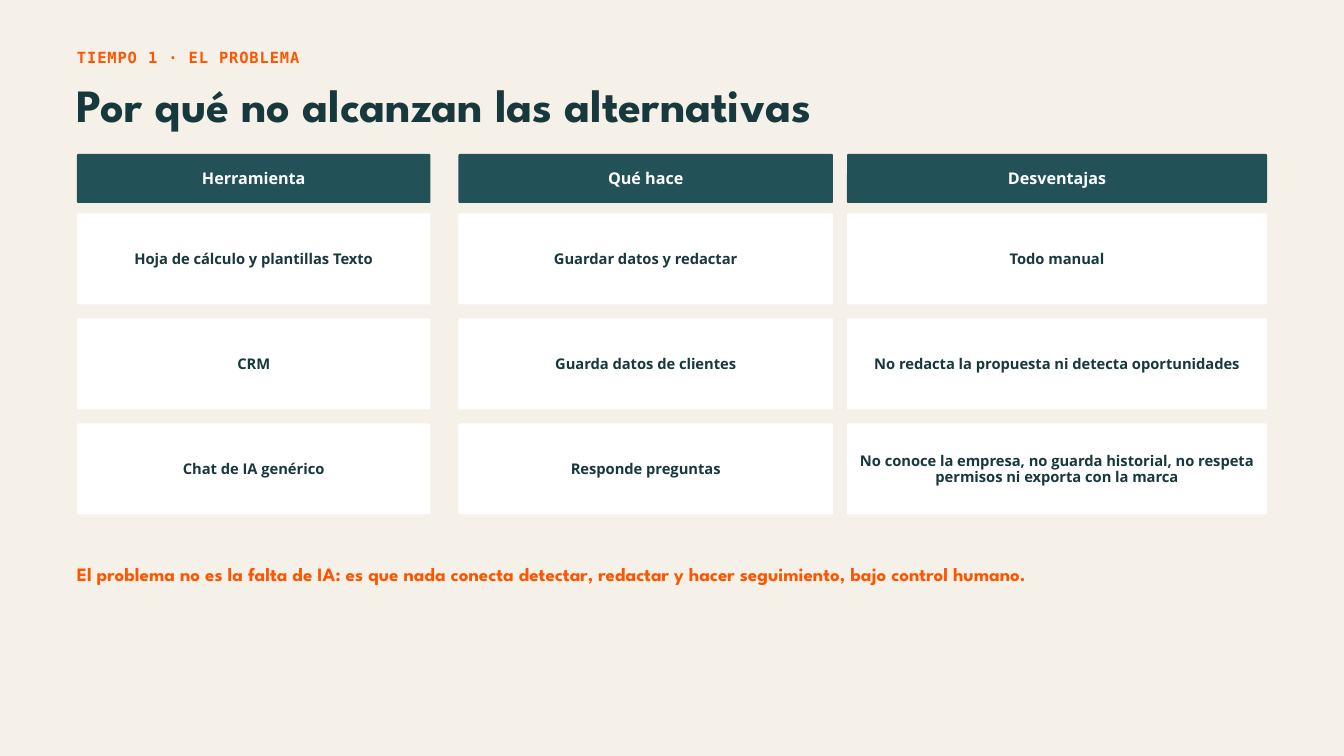
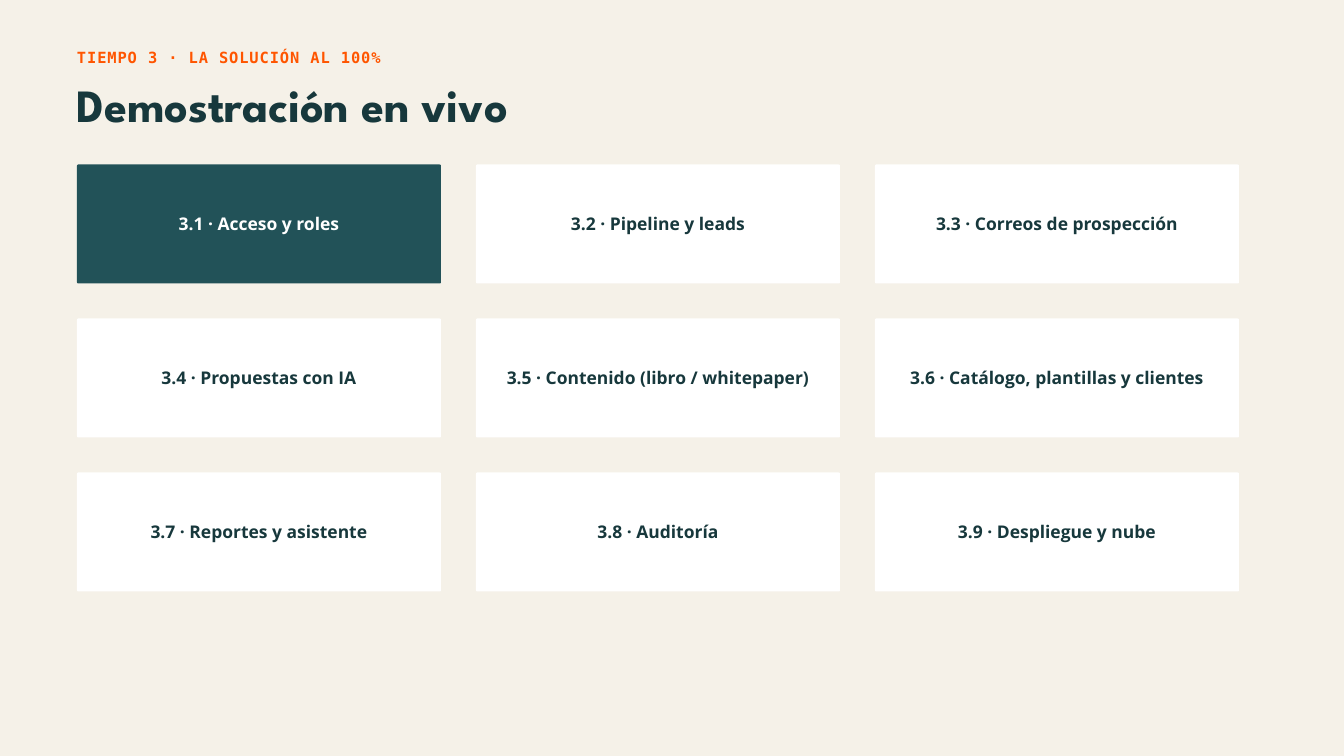
from itertools import accumulate

from pptx import Presentation
from pptx import util as u
from pptx.dml.color import RGBColor
from pptx.enum import shapes, text

PX = 9525  # EMU in one px
CREAM = RGBColor(0xF5, 0xF1, 0xE8)
ORANGE = RGBColor(0xFF, 0x55, 0x00)
INK = RGBColor(0x17, 0x38, 0x3C)
TEAL = RGBColor(0x22, 0x52, 0x58)
WHITE = RGBColor(0xFF, 0xFF, 0xFF)

LEFT = 110
RADIUS = 2
PAD = 6

# Text styles: font, size in pt, line height in pt
KICKER = ("DejaVu Sans Mono", 16.5, 23.1)
TITLE = ("League Spartan", 49.5, 50.5)
CLOSING = ("League Spartan", 20.25, 20.6)
HEAD = ("Open Sans", 17.25, 19.8)
CELL = ("Open Sans", 15.75, 18.1)
TILE = ("Open Sans", 18.75, 21.6)

HEADS = ["Herramienta", "Qué hace", "Desventajas"]
TOOLS = [
    ["Hoja de cálculo y plantillas Texto", "Guardar datos y redactar",
     "Todo manual"],
    ["CRM", "Guarda datos de clientes",
     "No redacta la propuesta ni detecta oportunidades"],
    ["Chat de IA genérico", "Responde preguntas",
     "No conoce la empresa, no guarda historial, no respeta permisos "
     "ni exporta con la marca"],
]
DEMOS = [
    "Acceso y roles", "Pipeline y leads", "Correos de prospección",
    "Propuestas con IA", "Contenido (libro / whitepaper)",
    "Catálogo, plantillas y clientes",
    "Reportes y asistente", "Auditoría", "Despliegue y nube",
]


def emu(*sizes):
    return [size * PX for size in sizes]


def assign(target, values):
    for name, value in values.items():
        setattr(target, name, value)


def write(shape, words, style, color, pad, frame_set, align):
    face, size, height = style
    frame = shape.text_frame
    sides = ("left", "top", "right", "bottom")
    assign(frame, {f"margin_{side}": pad * PX for side in sides})
    assign(frame, {"word_wrap": True, **frame_set})
    para = frame.paragraphs[0]
    assign(para, {"alignment": align, "line_spacing": u.Pt(height)})
    run = para.add_run()
    run.text = words
    assign(run.font, {"name": face, "size": u.Pt(size), "bold": True})
    run.font.color.rgb = color
    return run


def label(slide, box, words, style, color):
    """Plain line of text, aligned left."""
    shape = slide.shapes.add_textbox(*emu(*box))
    fit = {"auto_size": text.MSO_AUTO_SIZE.SHAPE_TO_FIT_TEXT}
    return write(shape, words, style, color, 0, fit, text.PP_ALIGN.LEFT)


def card(slide, box, words, style, dark=False):
    """Rounded card with centred text."""
    kind = shapes.MSO_SHAPE.ROUNDED_RECTANGLE
    shape = slide.shapes.add_shape(kind, *emu(*box))
    shape.adjustments[0] = RADIUS / min(box[2:])
    shape.shadow.inherit = False
    shape.fill.solid()
    shape.fill.fore_color.rgb = TEAL if dark else WHITE
    shape.line.fill.background()
    middle = {"vertical_anchor": text.MSO_ANCHOR.MIDDLE}
    write(shape, words, style, WHITE if dark else INK, PAD, middle,
          text.PP_ALIGN.CENTER)


def heading(deck, kicker, title):
    """New slide with the shared kicker and title."""
    slide = deck.slides.add_slide(deck.slide_layouts[6])
    run = label(slide, (LEFT, 64, 1500, 30), kicker, KICKER, ORANGE)
    run.font._element.set("spc", "100")  # letter spacing of 1 pt
    label(slide, (LEFT, 121, 1600, 70), title, TITLE, INK)
    return slide


def matrix(slide, left, top):
    """Comparison grid: one dark header row, then white rows."""
    widths, gaps = [505, 535, 600], [40, 20]
    steps = [wide + gap for wide, gap in zip(widths, gaps)]
    cols = list(zip(accumulate(steps, initial=left), widths))
    for (x, wide), words in zip(cols, HEADS):
        card(slide, (x, top, wide, 70), words, HEAD, dark=True)
    for row, cells in enumerate(TOOLS):
        y = top + 85 + row * 150
        for (x, wide), words in zip(cols, cells):
            card(slide, (x, y, wide, 130), words, CELL)


def agenda(slide, left, top):
    """Three by three tiles, the first one highlighted."""
    wide, high, gap = 520, 170, 50
    for i, name in enumerate(DEMOS):
        row, col = divmod(i, 3)
        box = (left + col * (wide + gap), top + row * (high + gap),
               wide, high)
        card(slide, box, f"3.{i + 1} · {name}", TILE, dark=i == 0)


def main():
    deck = Presentation()
    deck.slide_width, deck.slide_height = emu(1920, 1080)
    back = deck.slide_master.background.fill
    back.solid()
    back.fore_color.rgb = CREAM

    # Alternatives
    slide = heading(deck, "TIEMPO 1 · EL PROBLEMA",
                    "Por qué no alcanzan las alternativas")
    matrix(slide, LEFT, 220)
    label(slide, (LEFT, 809, 1640, 28),
          "El problema no es la falta de IA: es que nada conecta detectar, "
          "redactar y hacer seguimiento, bajo control humano.",
          CLOSING, ORANGE)

    # Live demo
    slide = heading(deck, "TIEMPO 3 · LA SOLUCIÓN AL 100%",
                    "Demostración en vivo")
    agenda(slide, LEFT, 235)

    deck.save("out.pptx")


if __name__ == "__main__":
    main()
